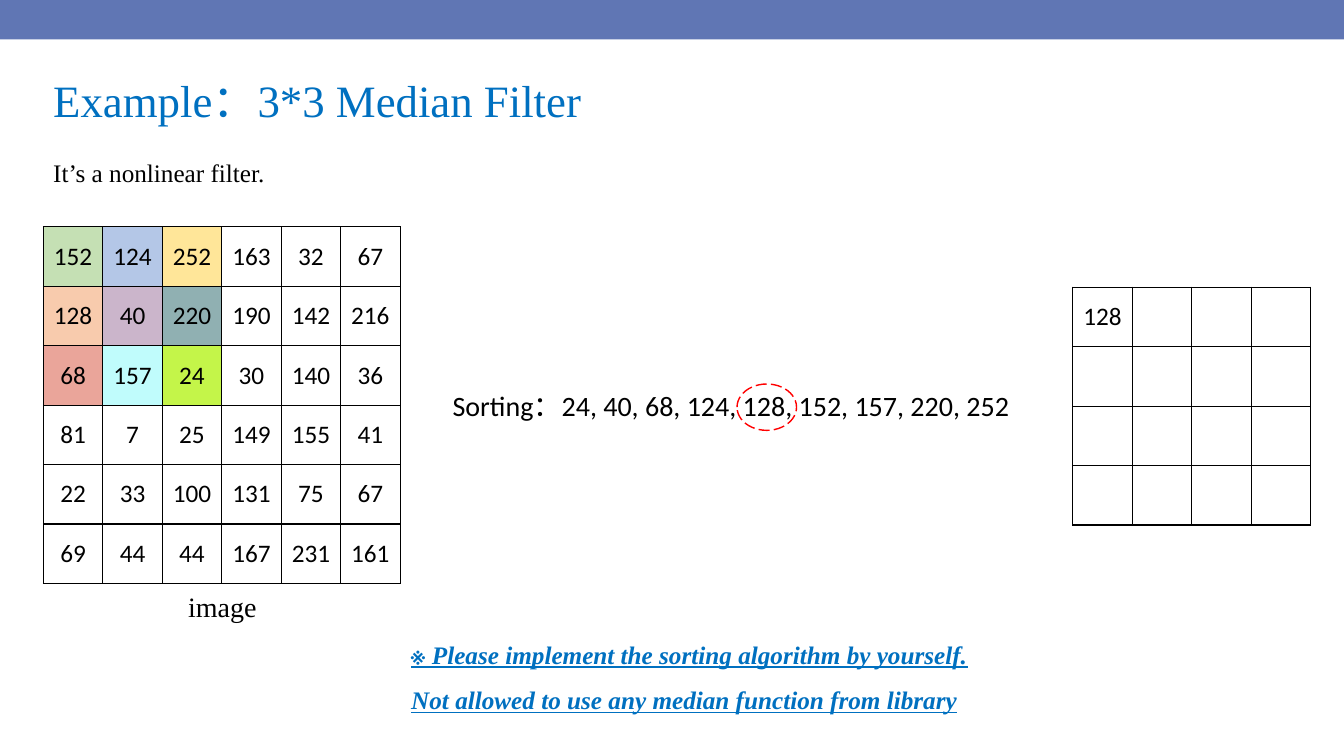
import lxml.etree
import pptx
import pptx.dml.color
import pptx.enum.dml
import pptx.enum.shapes
import pptx.enum.text
import pptx.oxml.ns
import pptx.util

PX = 9144
CELL = 59
COLORS = {
    "banner": "6076B4", "accent": "0070C0", "ink": "000000", "paper": "FFFFFF", "ring": "FF0000",
    "green": "C5E0B4", "blue": "B4C7E7", "yellow": "FFE699",
    "orange": "F8CBAD", "mauve": "CBB5CB", "teal": "90B0B2",
    "coral": "EAA59A", "cyan": "C0FCFC", "lime": "C4F549",
}
WINDOW = [
    ["green", "blue", "yellow"],
    ["orange", "mauve", "teal"],
    ["coral", "cyan", "lime"],
]
IMAGE = [
    [152, 124, 252, 163, 32, 67],
    [128, 40, 220, 190, 142, 216],
    [68, 157, 24, 30, 140, 36],
    [81, 7, 25, 149, 155, 41],
    [22, 33, 100, 131, 75, 67],
    [69, 44, 44, 167, 231, 161],
]
FILTERED = [[128, "", "", ""]] + [[""] * 4 for _ in range(3)]
SERIF = "Times New Roman"
SANS = "Calibri"


def rgb(color):
    """Return the named colour."""
    return pptx.dml.color.RGBColor.from_string(COLORS[color])


def emu(*lengths):
    """Turn px lengths into EMU."""
    return [pptx.util.Emu(length * PX) for length in lengths]


def write(frame, text, size=18, font=SANS, color="ink", emphasis=None, centered=False, spacing=None):
    """Put one formatted paragraph into a text frame."""
    paragraph = frame.paragraphs[0]
    align = pptx.enum.text.PP_ALIGN
    paragraph.alignment = align.CENTER if centered else align.LEFT
    paragraph.line_spacing = spacing
    run = paragraph.add_run()
    run.text = text
    run.font.size = pptx.util.Pt(size)
    run.font.name = font
    run.font.color.rgb = rgb(color)
    run.font.bold = run.font.italic = run.font.underline = emphasis


def add_text(slide, box, text, **style):
    """Add a wrapping text box."""
    frame = slide.shapes.add_textbox(*emu(*box)).text_frame
    frame.word_wrap = True
    frame.auto_size = pptx.enum.text.MSO_AUTO_SIZE.SHAPE_TO_FIT_TEXT
    write(frame, text, **style)


def add_outline(cell):
    """Draw the four borders of a table cell."""
    properties = cell._tc.get_or_add_tcPr()
    qn = pptx.oxml.ns.qn
    for side in ("a:lnL", "a:lnR", "a:lnT", "a:lnB"):
        border = lxml.etree.SubElement(properties, qn(side), w=str(pptx.util.Pt(1)))
        fill = lxml.etree.SubElement(border, qn("a:solidFill"))
        lxml.etree.SubElement(fill, qn("a:srgbClr"), val=COLORS["ink"])


def add_pixels(slide, left, top, values, window=()):
    """Add a square pixel grid, tinting the filter window."""
    count = len(values)
    side = count * CELL
    grid = slide.shapes.add_table(count, count, *emu(left, top, side, side)).table
    grid.first_row = grid.horz_banding = False
    for index in range(count):
        grid.columns[index].width = grid.rows[index].height = emu(CELL)[0]
    for row, numbers in enumerate(values):
        for column, number in enumerate(numbers):
            cell = grid.cell(row, column)
            cell.margin_left, cell.margin_right = emu(5, 5)
            cell.vertical_anchor = pptx.enum.text.MSO_ANCHOR.MIDDLE
            add_outline(cell)
            tinted = row < len(window) and column < len(window[row])
            cell.fill.solid()
            cell.fill.fore_color.rgb = rgb(window[row][column] if tinted else "paper")
            if number != "":
                write(cell.text_frame, str(number), centered=True)


def add_banner(slide):
    """Add the band across the top."""
    banner = slide.shapes.add_shape(pptx.enum.shapes.MSO_SHAPE.RECTANGLE, *emu(0, 0, 1333, 39))
    banner.shadow.inherit = False
    banner.fill.solid()
    banner.fill.fore_color.rgb = rgb("banner")
    banner.line.fill.background()


def add_ring(slide, box):
    """Add a dashed ring around the median."""
    ring = slide.shapes.add_shape(pptx.enum.shapes.MSO_SHAPE.OVAL, *emu(*box))
    ring.shadow.inherit = False
    ring.fill.background()
    ring.line.color.rgb = rgb("ring")
    ring.line.width = pptx.util.Pt(1)
    ring.line.dash_style = pptx.enum.dml.MSO_LINE.LONG_DASH


def main():
    """Build the median filter slide."""
    deck = pptx.Presentation()
    deck.slide_width, deck.slide_height = emu(1333, 750)
    slide = deck.slides.add_slide(deck.slide_layouts[6])
    add_banner(slide)
    add_pixels(slide, 43, 225, IMAGE, WINDOW)
    add_text(slide, (43, 67, 567, 64), "Example：3*3 Median Filter", size=32, font=SERIF, color="accent")
    add_pixels(slide, 1064, 285, FILTERED)
    add_text(slide, (439, 381, 583, 44), "Sorting：24, 40, 68, 124, 128, 152, 157, 220, 252", size=20)
    add_ring(slide, (731, 381, 59, 46))
    add_text(slide, (166, 580, 109, 44), "image", size=20, font=SERIF, centered=True)
    add_text(slide, (43, 151, 803, 40), "It’s a nonlinear filter.", font=SERIF)
    add_text(
        slide, (398, 614, 582, 96),
        "※ Please implement the sorting algorithm by yourself. "
        "Not allowed to use any median function from library",
        font=SERIF, color="accent", emphasis=True, spacing=1.5,
    )
    deck.save("out.pptx")


if __name__ == "__main__":
    main()
